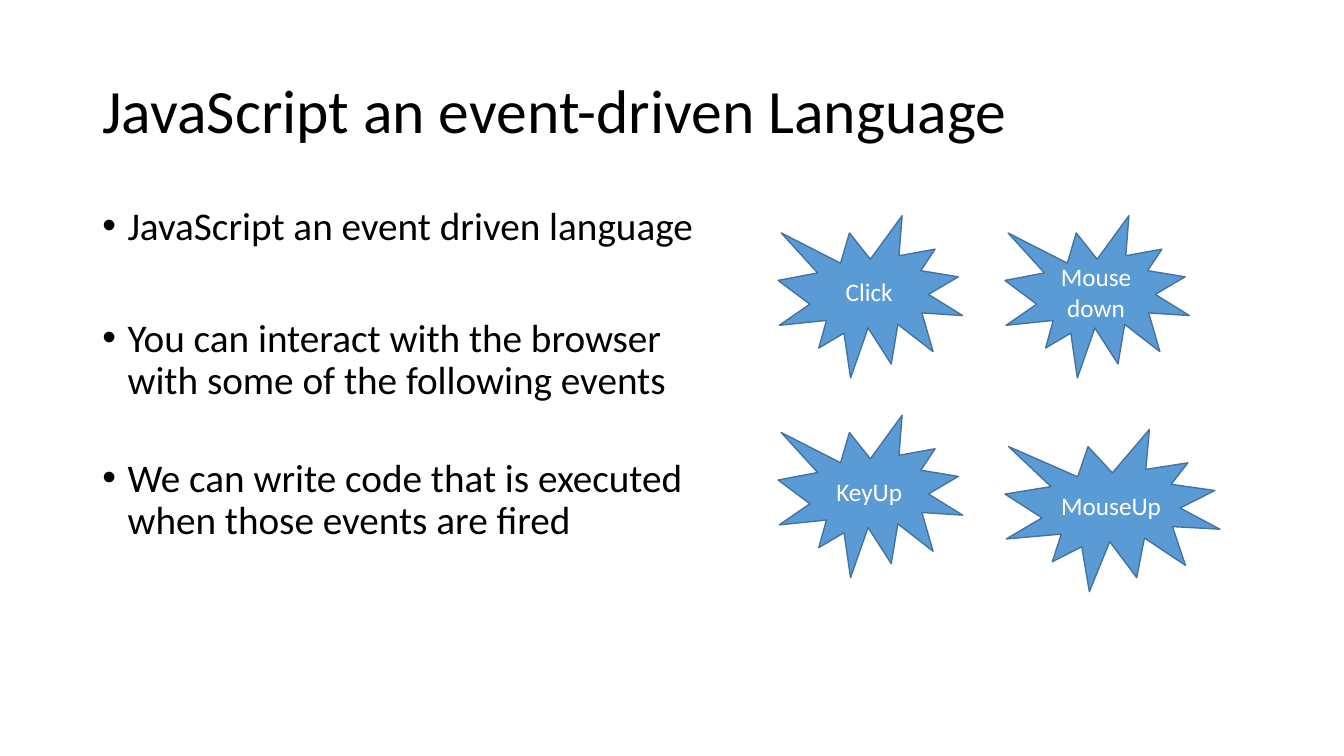
from pptx import Presentation
from pptx.dml.color import RGBColor
from pptx.enum.shapes import MSO_SHAPE
from pptx.enum.text import MSO_ANCHOR, PP_ALIGN
from pptx.util import Pt
from lxml import etree

BLACK = RGBColor(0x00, 0x00, 0x00)
WHITE = RGBColor(0xFF, 0xFF, 0xFF)
BLUE = RGBColor(0x5B, 0x9B, 0xD5)
DARK_BLUE = RGBColor(0x43, 0x73, 0x9E)
BURST = MSO_SHAPE.EXPLOSION1
MIDDLE = MSO_ANCHOR.MIDDLE
CENTER = PP_ALIGN.CENTER
A = "{http://schemas.openxmlformats.org/drawingml/2006/main}"


def style(p, size, color):
    for r in p.runs:
        r.font.name = "Calibri"
        r.font.size = Pt(size)
        r.font.color.rgb = color


def add_text(left, top, width, height):
    tf = s.shapes.add_textbox(Pt(left), Pt(top), Pt(width), Pt(height)).text_frame
    tf.word_wrap = True
    return tf


prs = Presentation()
prs.slide_width, prs.slide_height = Pt(960), Pt(540)
s = prs.slides.add_slide(prs.slide_layouts[6])

# Title
tf = add_text(66, 28.8, 828, 104.4)
tf.vertical_anchor = MIDDLE
p = tf.paragraphs[0]
p.text = "JavaScript an event-driven Language"
p.line_spacing = 0.9
style(p, 44, BLACK)

# Bullets: text and space before
bullets = [
    ("JavaScript an event driven language", 0),
    ("You can interact with the browser with some of the following events", 49.5),
    ("We can write code that is executed when those events are fired", 39.5),
]
tf = add_text(66, 144, 440.64, 258.48)
for i, (text, gap) in enumerate(bullets):
    p = tf.add_paragraph() if i else tf.paragraphs[0]
    p.text = text
    p.line_spacing = 0.9
    p.space_before = Pt(gap)
    style(p, 28, BLACK)
    pPr = p._p.get_or_add_pPr()
    pPr.set("marL", str(Pt(18)))
    pPr.set("indent", str(Pt(-18)))
    etree.SubElement(pPr, A + "buFont", typeface="Arial")
    etree.SubElement(pPr, A + "buChar", char="•")

# Event bursts: name, left, top, width
events = [
    ("Click", 555.84, 154.08, 131.76),
    ("Mousedown", 717.84, 154.08, 131.76),
    ("KeyUp", 555.84, 296.64, 131.76),
    ("MouseUp", 717.84, 306.72, 153.5),
]
for name, left, top, width in events:
    sp = s.shapes.add_shape(BURST, Pt(left), Pt(top), Pt(width), Pt(115.92))
    sp.shadow.inherit = False
    sp.fill.solid()
    sp.fill.fore_color.rgb = BLUE
    sp.line.color.rgb = DARK_BLUE
    sp.line.width = Pt(1)
    tf = sp.text_frame
    tf.word_wrap = True
    tf.vertical_anchor = MIDDLE
    p = tf.paragraphs[0]
    p.text = name
    p.alignment = CENTER
    style(p, 18, WHITE)

prs.save("out.pptx")
